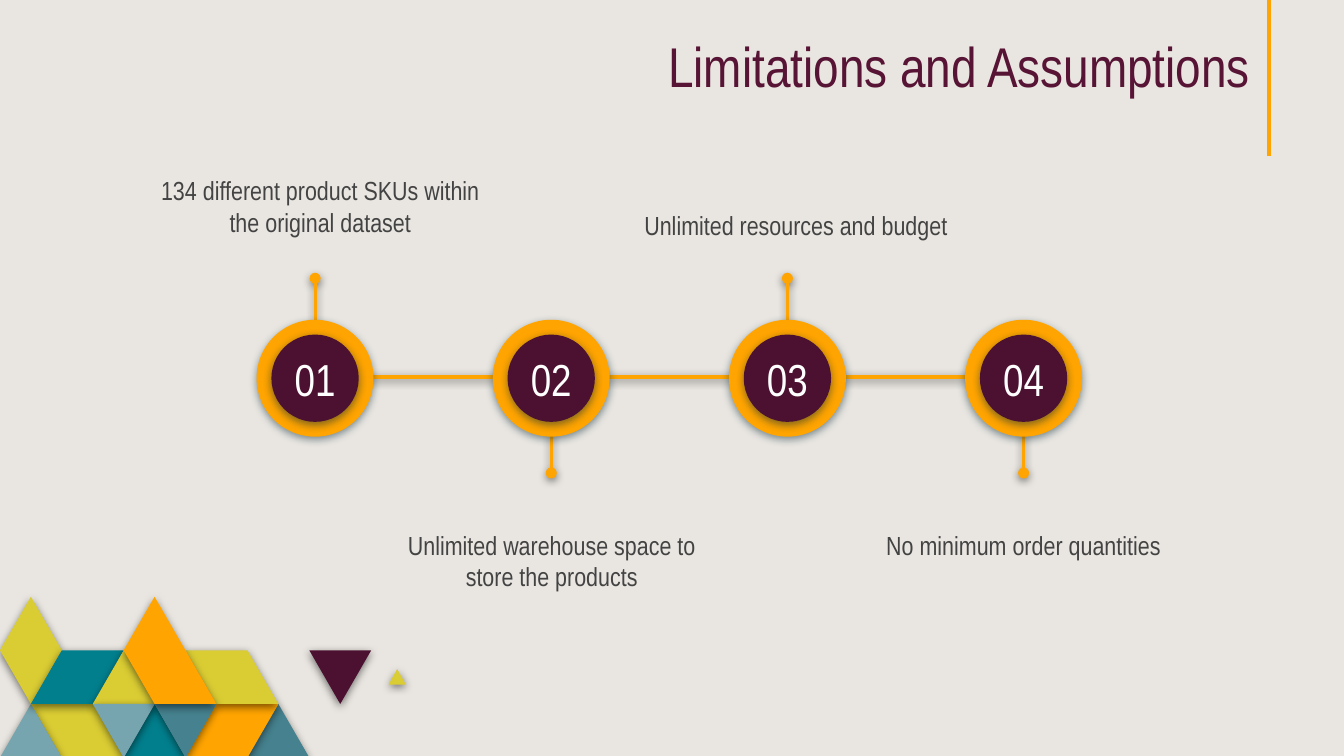
from collections import namedtuple

from lxml import etree
from pptx import Presentation
from pptx.dml.color import RGBColor
from pptx.enum.shapes import MSO_CONNECTOR, MSO_SHAPE
from pptx.enum.text import MSO_ANCHOR as Anchor, PP_ALIGN as Align
from pptx.oxml.ns import qn
from pptx.util import Cm, Pt

Box = namedtuple("Box", "left top width height")
Step = namedtuple("Step", "number caption box above")

FONT = "Arial Narrow"
PAPER, WHITE, GREY, TITLE = "E9E6E1", "FFFFFF", "434343", "571435"
ORANGE, PLUM, LIME = "FFA400", "4C1130", "DACC33"
TEAL, SLATE, MIST = "027F8D", "45818E", "76A5AF"

RING, DISC = 2.21, 1.65

STEPS = [
    Step("01", "134 different product SKUs within the original dataset",
         Box(2.79, 3.05, 6.53, 1.9), True),
    Step("02", "Unlimited warehouse space to store the products",
         Box(7.14, 9.75, 6.58, 1.9), False),
    Step("03", "Unlimited resources and budget",
         Box(11.25, 3.71, 7.59, 1.9), True),
    Step("04", "No minimum order quantities",
         Box(15.88, 9.75, 6.93, 1.9), False),
]

# Corners are (column, row) on a grid of half triangles.
TILES = [
    (SLATE, [(10, 3), (9, 2), (8, 3)]),
    (ORANGE, [(9, 2), (7, 2), (6, 3), (8, 3)]),
    (LIME, [(4, 3), (3, 2), (1, 2), (2, 3)]),
    (MIST, [(2, 3), (1, 2), (0, 3)]),
    (TEAL, [(6, 3), (5, 2), (4, 3)]),
    (LIME, [(9, 2), (8, 1), (6, 1), (7, 2)]),
    (LIME, [(13.12, 1.64), (12.84, 1.35), (12.56, 1.64)]),
    (PLUM, [(12, 1), (10, 1), (11, 2)]),
    (LIME, [(2, 1), (1, 0), (0, 1), (1, 2)]),
    (TEAL, [(4, 1), (2, 1), (1, 2), (3, 2)]),
    (LIME, [(5, 2), (4, 1), (3, 2)]),
    (MIST, [(5, 2), (3, 2), (4, 3)]),
    (SLATE, [(7, 2), (5, 2), (6, 3)]),
    (ORANGE, [(7, 2), (5, 0), (4, 1), (5, 2)]),
]


def rgb(value):
    return RGBColor.from_string(value)


def lengths(box):
    return [Cm(value) for value in box]


def set_shadow(item, color=None):
    """Replace the theme shadow by a soft one below, or by none."""
    effects = etree.SubElement(item._element.spPr, qn("a:effectLst"))
    if color:
        shadow = etree.SubElement(effects, qn("a:outerShdw"), blurRad=str(Pt(4.5)),
                                  dist=str(Pt(1.5)), dir="5400000", algn="bl",
                                  rotWithShape="0")
        tone = etree.SubElement(shadow, qn("a:srgbClr"), val=color)
        etree.SubElement(tone, qn("a:alpha"), val="50000")


def paint(shape, fill, shadow="000000"):
    shape.fill.solid()
    shape.fill.fore_color.rgb = rgb(fill)
    shape.line.fill.background()
    set_shadow(shape, shadow)


def add_line(page, start, end, weight, shadow=None, dot=False):
    points = [Cm(value) for value in (*start, *end)]
    line = page.shapes.add_connector(MSO_CONNECTOR.STRAIGHT, *points)
    line.line.color.rgb = rgb(ORANGE)
    line.line.width = Pt(weight)
    if dot:
        etree.SubElement(line.line._get_or_add_ln(), qn("a:tailEnd"), type="oval")
    set_shadow(line, shadow)


def add_circle(page, x, y, size, fill):
    box = Box(x - size / 2, y - size / 2, size, size)
    paint(page.shapes.add_shape(MSO_SHAPE.OVAL, *lengths(box)), fill, "0C2E3A")


def add_text(page, box, text, size, color, align=Align.CENTER, anchor=Anchor.TOP):
    frame = page.shapes.add_textbox(*lengths(box)).text_frame
    frame.word_wrap = True
    frame.vertical_anchor = anchor
    frame.margin_left = frame.margin_right = Cm(0.25)
    frame.margin_top = frame.margin_bottom = Cm(0.25)
    para = frame.paragraphs[0]
    para.alignment = align
    span = para.add_run()
    span.text = text
    span.font.name = FONT
    span.font.size = Pt(size)
    span.font.color.rgb = rgb(color)


def add_mosaic(page, box):
    column, row = box.width / 13, box.height / 3
    for fill, corners in TILES:
        points = [(Cm(box.left + x * column), Cm(box.top + y * row))
                  for x, y in corners]
        builder = page.shapes.build_freeform(*points[0])
        builder.add_line_segments(points[1:], close=True)
        paint(builder.convert_to_shape(), fill)


def add_header(page, box):
    """Title at the right, closed by a rule that hangs from the page top."""
    rule = box.left + box.width + 0.1
    add_line(page, (rule, 0), (rule, 2.95), 2.25)
    add_text(page, box, "Limitations and Assumptions", 30, TITLE,
             align=Align.RIGHT, anchor=Anchor.BOTTOM)


def add_timeline(page, box):
    """Numbered rings on one line, with stems to the box edges."""
    first = box.left + RING / 2
    gap = (box.width - RING) / (len(STEPS) - 1)
    middle = box.top + 1.89
    add_line(page, (first + 1, middle - 0.03),
             (first + box.width - RING - 1, middle - 0.03), 2.25, "000000")
    for index, step in enumerate(STEPS):
        x = first + index * gap
        tip = box.top if step.above else box.top + box.height
        edge = middle + (-DISC / 2 if step.above else DISC / 2)
        add_line(page, (x, edge), (x, tip), 1.5, "000000", dot=True)
        add_circle(page, x, middle, RING, ORANGE)
        add_circle(page, x, middle, DISC, PLUM)
        add_text(page, Box(x - 0.99, middle - 0.62, 1.98, 1.24), step.number,
                 24, WHITE, anchor=Anchor.MIDDLE)
        add_text(page, step.box, step.caption, 14, GREY)


def main():
    deck = Presentation()
    deck.slide_width, deck.slide_height = Cm(25.4), Cm(14.29)
    page = deck.slides.add_slide(deck.slide_layouts[6])
    page.background.fill.solid()
    page.background.fill.fore_color.rgb = rgb(PAPER)
    add_mosaic(page, Box(0, 11.28, 7.6, 3.04))
    add_header(page, Box(1.4, 0.51, 22.48, 1.6))
    add_timeline(page, Box(4.85, 5.26, 15.6, 3.68))
    deck.save("out.pptx")


if __name__ == "__main__":
    main()
